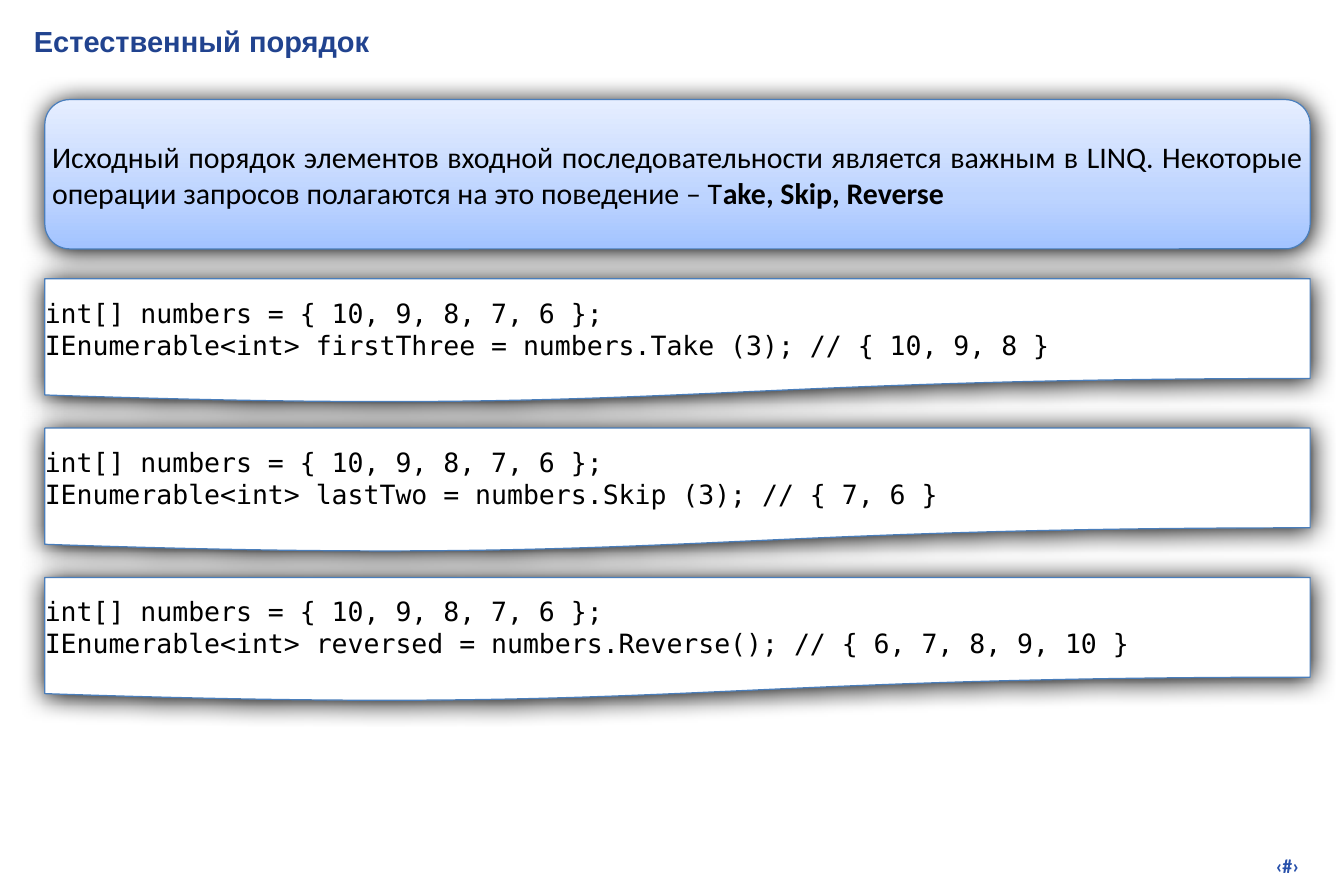
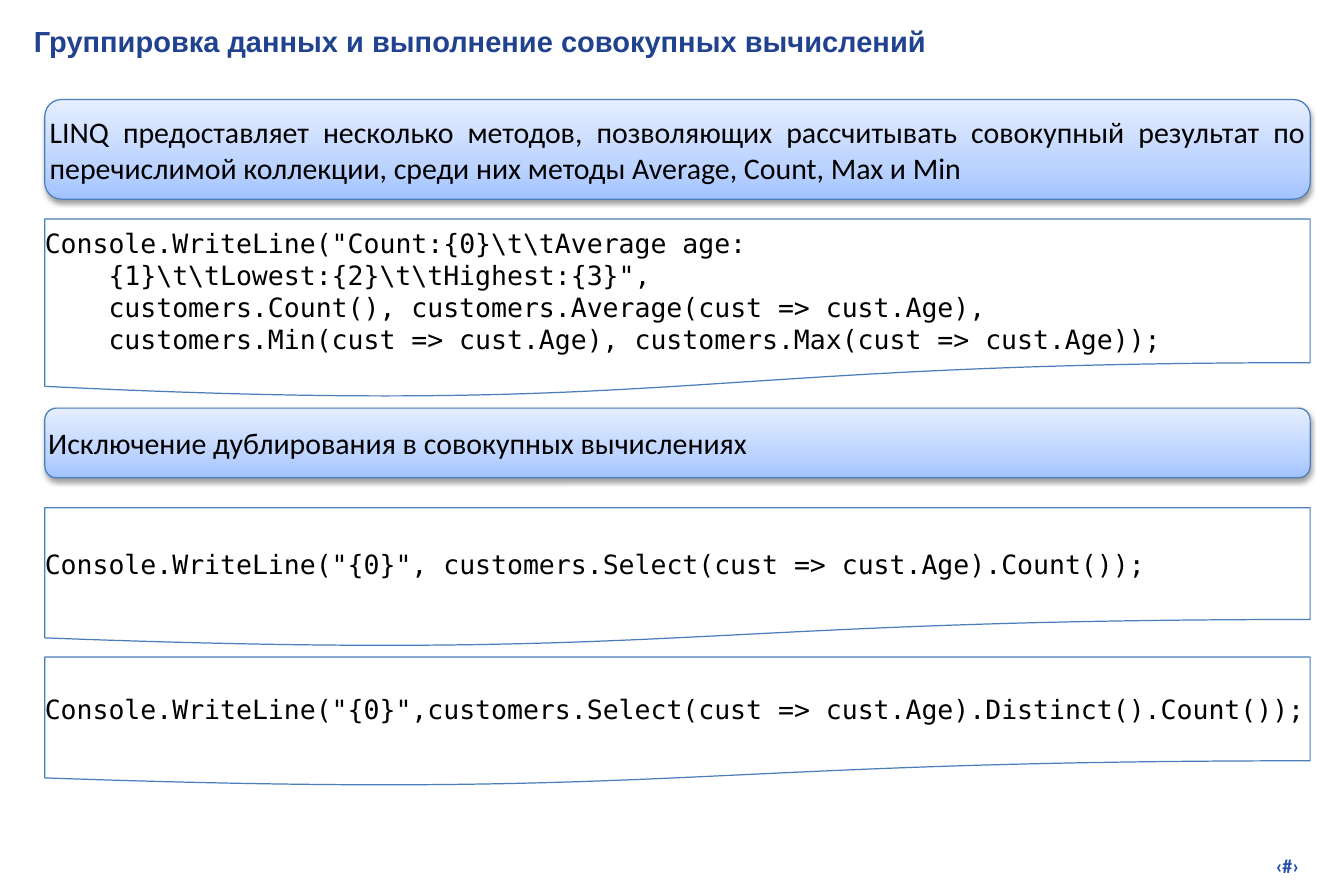
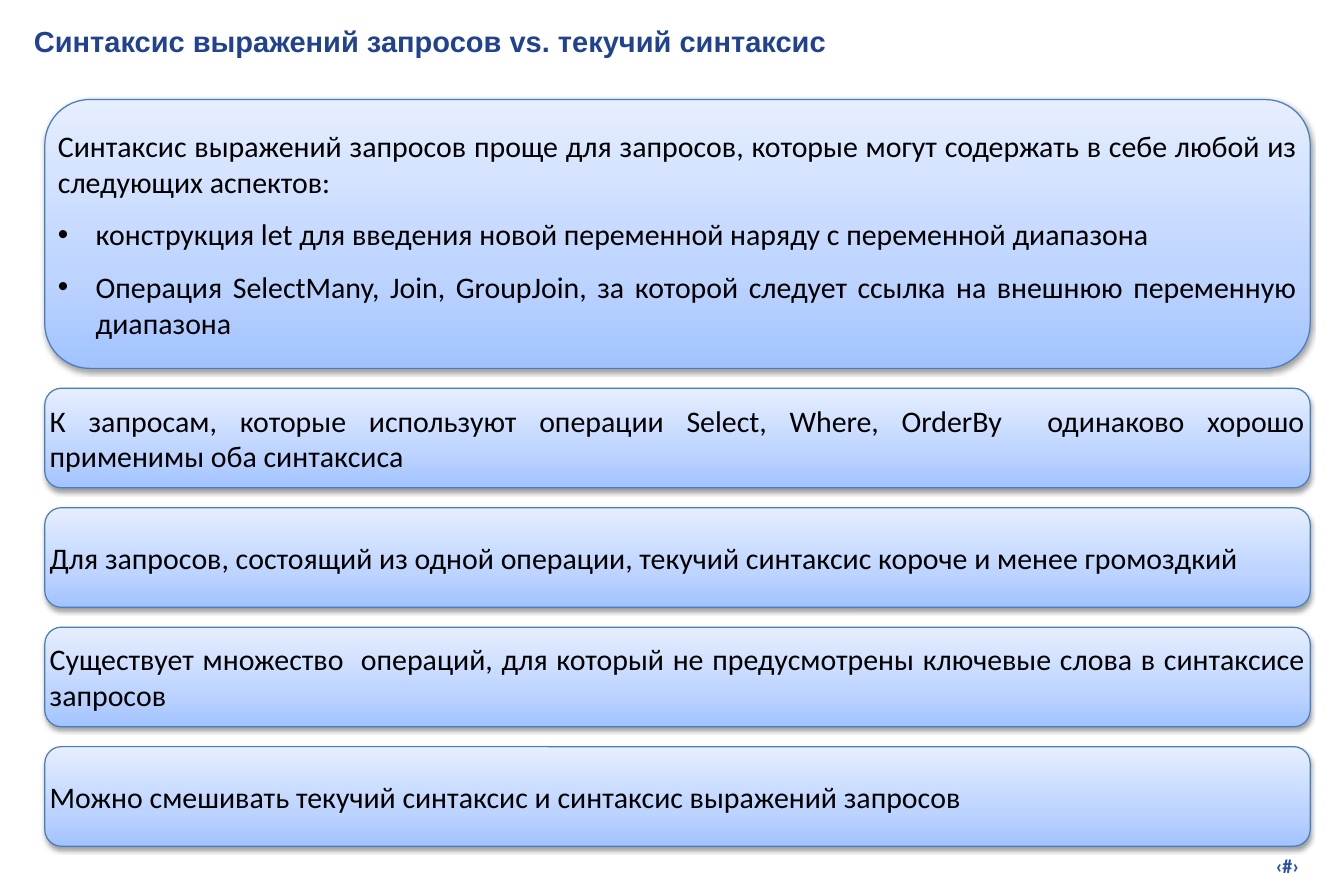
from copy import deepcopy
from dataclasses import dataclass

from lxml.etree import SubElement
from pptx import Presentation
from pptx.dml.color import RGBColor
from pptx.enum.shapes import MSO_SHAPE
from pptx.enum.text import MSO_ANCHOR, PP_ALIGN
from pptx.oxml.ns import qn
from pptx.util import Emu, Pt

# Content: kind, top, height (px), paragraphs
# A paragraph is text, or (text, option) where option is a bold tail, BULLET or INDENT
CARD, PAGE = "card", "page"
BULLET, INDENT = "bullet", "indent"
NUMBERS = "int[] numbers = { 10, 9, 8, 7, 6 };"

SLIDES = [
    dict(title="Естественный порядок", glow=True, blocks=[
        (CARD, 100, 150, [
            ("Исходный порядок элементов входной последовательности является важным в LINQ. "
             "Некоторые операции запросов полагаются на это поведение – T", "ake, Skip, Reverse")]),
        (PAGE, 280, 125, [
            NUMBERS, "IEnumerable<int> firstThree = numbers.Take (3); // { 10, 9, 8 }"]),
        (PAGE, 430, 125, [
            NUMBERS, "IEnumerable<int> lastTwo = numbers.Skip (3); // { 7, 6 }"]),
        (PAGE, 580, 125, [
            NUMBERS, "IEnumerable<int> reversed = numbers.Reverse(); // { 6, 7, 8, 9, 10 }"]),
    ]),
    dict(title="Группировка данных и выполнение совокупных вычислений", glow=False, blocks=[
        (CARD, 100, 100, [
            "LINQ предоставляет несколько методов, позволяющих рассчитывать совокупный "
            "результат по перечислимой коллекции, среди них методы Average, Count, Max и Min"]),
        (PAGE, 220, 180, [
            r'Console.WriteLine("Count:{0}\t\tAverage age:',
            (r'{1}\t\tLowest:{2}\t\tHighest:{3}",', INDENT),
            ("customers.Count(), customers.Average(cust => cust.Age),", INDENT),
            ("customers.Min(cust => cust.Age), customers.Max(cust => cust.Age));", INDENT)]),
        (CARD, 410, 70, ["Исключение дублирования в совокупных вычислениях"]),
        (PAGE, 510, 140, [
            'Console.WriteLine("{0}", customers.Select(cust => cust.Age).Count());']),
        (PAGE, 660, 130, [
            'Console.WriteLine("{0}",customers.Select(cust => cust.Age).Distinct().Count());']),
    ]),
    dict(title="Синтаксис выражений запросов vs. текучий синтаксис", glow=False, blocks=[
        (CARD, 100, 270, [
            "Синтаксис выражений запросов проще для запросов, которые могут содержать "
            "в себе любой из следующих аспектов:",
            ("конструкция let для введения новой переменной наряду с переменной диапазона", BULLET),
            ("Операция SelectMany, Join, GroupJoin, за которой следует ссылка "
             "на внешнюю переменную диапазона", BULLET)]),
    ] + [(CARD, 390 + 120 * i, 100, [text]) for i, text in enumerate([
        "К запросам, которые используют операции Select, Where, OrderBy  "
        "одинаково хорошо применимы оба синтаксиса",
        "Для запросов, состоящий из одной операции, текучий синтаксис короче и менее громоздкий",
        "Существует множество  операций, для который не предусмотрены "
        "ключевые слова в синтаксисе запросов",
        "Можно смешивать текучий синтаксис и синтаксис выражений запросов",
    ])]),
]


@dataclass(frozen=True)
class Theme:
    title: tuple = ("Arial", 17.5, "21438F", True)
    number: tuple = ("Calibri", 12, "2750AB", True)
    body: tuple = ("Calibri", 18, "000000", False)
    code: tuple = ("DejaVu Sans Mono", 16, "000000", False)
    line: str = "4A7EBB"
    page: str = "FFFFFF"
    gradient: tuple = ((0, "A2C3FF"), (0.35, "BDD4FF"), (1, "E6EEFF"))
    glow: tuple = (100, 15, 0.7)  # opacity %, blur pt, distance pt
    drop: tuple = (38, 3, 1.6)


T = Theme()
LEFT, WIDTH = 45, 1271
BULLET_INDENT, CODE_INDENT = 38, 64


def px(n):
    return Emu(n * 7620)  # 120 px to the inch


def style(runs, look):
    name, size, color, bold = look
    for r in runs:
        r.font.name, r.font.size, r.font.bold = name, Pt(size), bold
        r.font.color.rgb = RGBColor.from_string(color)


def set_frame(tf, inset=0):
    tf.word_wrap = True
    tf.margin_left = tf.margin_right = tf.margin_top = tf.margin_bottom = px(inset)


def add_label(s, box, text, look, align=PP_ALIGN.LEFT, inset=0):
    tf = s.shapes.add_textbox(*map(px, box)).text_frame
    set_frame(tf, inset)
    tf.text = text
    tf.paragraphs[0].alignment = align
    style(tf.paragraphs[0].runs, look)


def fill_gradient(sp):
    sp.fill.gradient()
    sp.fill.gradient_angle = 90
    stops = sp._element.spPr.find(".//" + qn("a:gsLst"))
    stops.append(deepcopy(stops[0]))
    for stop, (position, color) in zip(sp.fill.gradient_stops, T.gradient):
        stop.position = position
        stop.color.rgb = RGBColor.from_string(color)


def add_shadow(sp, shadow):
    opacity, blur, distance = shadow
    effects = sp._element.spPr.find(qn("a:effectLst"))
    outer = SubElement(effects, qn("a:outerShdw"), blurRad=str(Pt(blur)),
                       dist=str(Pt(distance)), dir="5400000", rotWithShape="0")
    color = SubElement(outer, qn("a:srgbClr"), val="000000")
    SubElement(color, qn("a:alpha"), val=str(opacity * 1000))


def indent(p, left, bullet=False):
    pPr = p._p.get_or_add_pPr()
    pPr.set("marL", str(px(left)))
    if bullet:
        pPr.set("indent", str(-px(left)))
        SubElement(pPr, qn("a:buFont"), typeface="Arial")
        SubElement(pPr, qn("a:buChar"), char="•")


def add_block(s, kind, top, height, paragraphs, glow):
    is_card = kind == CARD
    preset = MSO_SHAPE.ROUNDED_RECTANGLE if is_card else MSO_SHAPE.FLOWCHART_DOCUMENT
    sp = s.shapes.add_shape(preset, px(LEFT), px(top), px(WIDTH), px(height))
    sp.line.color.rgb = RGBColor.from_string(T.line)
    sp.line.width = Pt(0.75)
    sp.shadow.inherit = False
    if is_card:
        fill_gradient(sp)
    else:
        sp.fill.solid()
        sp.fill.fore_color.rgb = RGBColor.from_string(T.page)
    if glow or is_card:
        add_shadow(sp, T.glow if glow else T.drop)

    # Text
    tf = sp.text_frame
    set_frame(tf)
    tf.vertical_anchor = MSO_ANCHOR.MIDDLE
    for i, item in enumerate(paragraphs):
        text, option = (item, None) if isinstance(item, str) else item
        p = tf.add_paragraph() if i else tf.paragraphs[0]
        p.text = text
        p.alignment = PP_ALIGN.JUSTIFY if is_card else PP_ALIGN.LEFT
        if is_card:
            p.space_before = Pt(10)
        style(p.runs, T.body if is_card else T.code)
        if option == BULLET:
            indent(p, BULLET_INDENT, bullet=True)
        elif option == INDENT:
            indent(p, CODE_INDENT)
        elif option:
            r = p.add_run()
            r.text = option
            style([r], T.body)
            r.font.bold = True


def main():
    prs = Presentation()
    prs.slide_width, prs.slide_height = px(1350), px(900)
    for data in SLIDES:
        s = prs.slides.add_slide(prs.slide_layouts[6])
        add_label(s, (1025, 852, 286, 35), "‹#›", T.number, PP_ALIGN.RIGHT, inset=6)
        add_label(s, (34, 24, 1289, 48), data["title"], T.title)
        for block in data["blocks"]:
            add_block(s, *block, data["glow"])
    prs.save("out.pptx")


if __name__ == "__main__":
    main()
